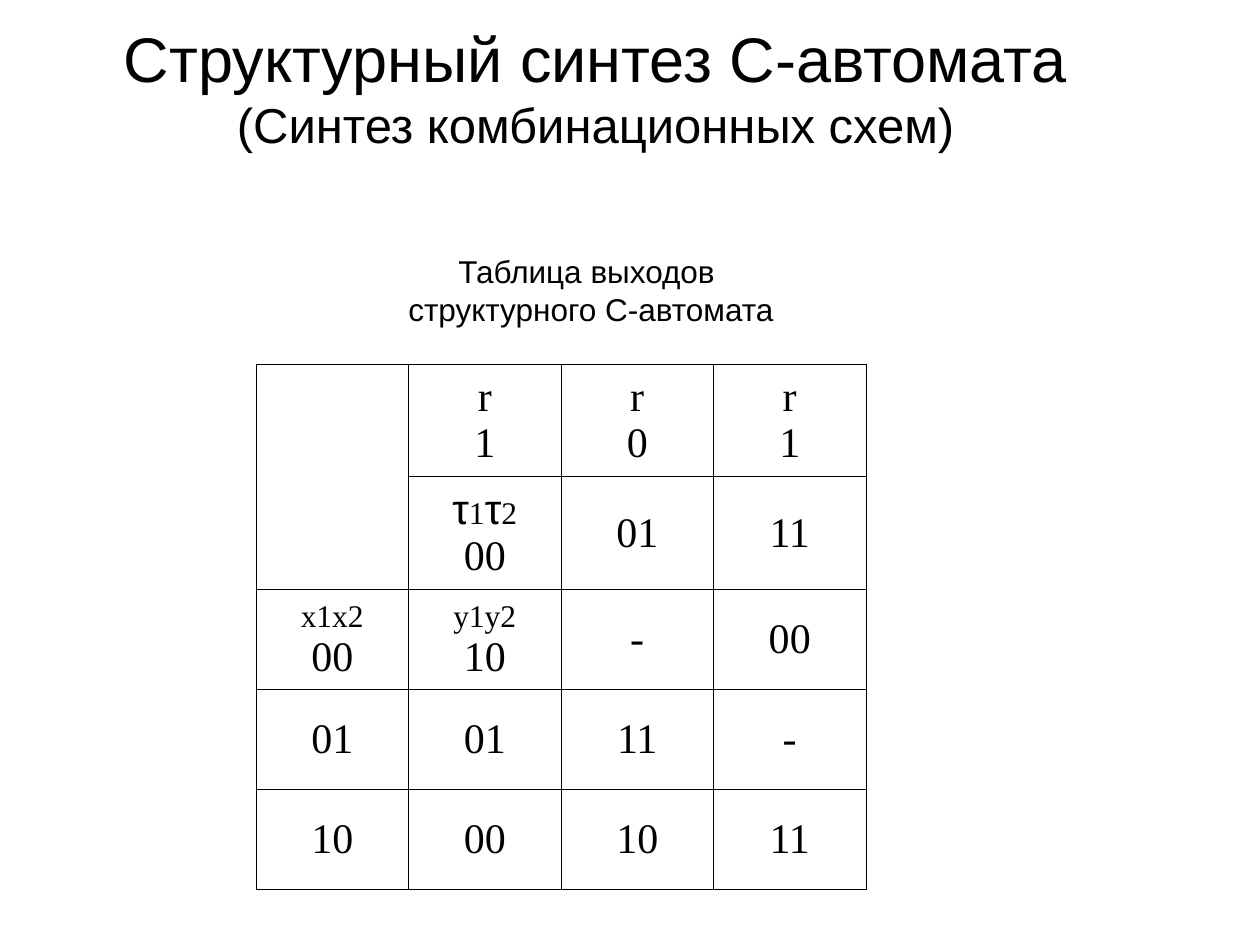
import lxml.etree
import pptx
import pptx.dml.color
import pptx.enum.text
import pptx.oxml.ns
import pptx.util

COLORS = {"ink": "000000"}
SANS = "Arial"
SERIF = "Times New Roman"
PX_PER_INCH = 126
MIDDLE = pptx.enum.text.MSO_ANCHOR.MIDDLE
TOP = pptx.enum.text.MSO_ANCHOR.TOP


def px(length):
    """Turn pixels into EMU."""
    return pptx.util.Emu(round(length * 914400 / PX_PER_INCH))


def write_text(text_frame, paragraphs, font=SANS, size=18):
    """Write centred paragraphs made of strings or (text, overrides) runs."""
    for index, runs in enumerate(paragraphs):
        paragraph = text_frame.paragraphs[0] if index == 0 else text_frame.add_paragraph()
        paragraph.alignment = pptx.enum.text.PP_ALIGN.CENTER
        for entry in [runs] if isinstance(runs, str) else runs:
            text, overrides = (entry, {}) if isinstance(entry, str) else entry
            run = paragraph.add_run()
            run.text = text
            run.font.name = overrides.get("font", font)
            run.font.size = pptx.util.Pt(overrides.get("size", size))
            run.font.color.rgb = pptx.dml.color.RGBColor.from_string(COLORS["ink"])


def add_text_box(slide, box, paragraphs, anchor=TOP, **text_format):
    """Add a wrapping text box."""
    shape = slide.shapes.add_textbox(*map(px, box))
    text_frame = shape.text_frame
    text_frame.word_wrap = True
    text_frame.vertical_anchor = anchor
    write_text(text_frame, paragraphs, **text_format)


def add_title(slide, box):
    """Place the heading and its subtitle."""
    heading = "Структурный синтез С-автомата"
    subtitle = [("(Синтез комбинационных схем)", {"size": 28})]
    add_text_box(slide, box, [heading, subtitle], anchor=MIDDLE, size=36)


def add_caption(slide, box):
    """Place the caption of the output table."""
    add_text_box(slide, box, ["Таблица выходов ", "структурного С-автомата"])


def draw_borders(cell):
    """Outline a cell on its four sides."""
    properties = cell._tc.get_or_add_tcPr()
    for position, side in enumerate(("a:lnL", "a:lnR", "a:lnT", "a:lnB")):
        line = lxml.etree.Element(pptx.oxml.ns.qn(side), w=str(pptx.util.Pt(0.45)))
        fill = lxml.etree.SubElement(line, pptx.oxml.ns.qn("a:solidFill"))
        lxml.etree.SubElement(fill, pptx.oxml.ns.qn("a:srgbClr"), val=COLORS["ink"])
        properties.insert(position, line)


def add_output_table(slide, box):
    """Place the table of outputs of the structural automaton."""
    small = {"size": 18}
    greek = {"font": SANS}
    states = [("τ", greek), ("1", small), ("τ", greek), ("2", small)]
    rows = [
        [[], ["r", "1"], ["r", "0"], ["r", "1"]],
        [[], [states, "00"], ["01"], ["11"]],
        [[[("x1x2", small)], "00"], [[("y1y2", small)], "10"], ["-"], ["00"]],
        [["01"], ["01"], ["11"], ["-"]],
        [["10"], ["00"], ["10"], ["11"]],
    ]
    table = slide.shapes.add_table(len(rows), len(rows[0]), *map(px, box)).table
    table.first_row = False
    table.horz_banding = False
    for column in table.columns:
        column.width = px(box[2] / len(rows[0]))
    for row, height in zip(table.rows, (110, 101, 100, 100, 100)):
        row.height = px(height)
    for row_index, row in enumerate(rows):
        for column_index, paragraphs in enumerate(row):
            cell = table.cell(row_index, column_index)
            cell.vertical_anchor = MIDDLE
            cell.margin_left = cell.margin_right = px(10)
            cell.margin_top = cell.margin_bottom = px(6)
            cell.fill.background()
            draw_borders(cell)
            write_text(cell.text_frame, paragraphs, font=SERIF, size=24)
    table.cell(0, 0).merge(table.cell(1, 0))


def main():
    """Build and save the presentation."""
    presentation = pptx.Presentation()
    presentation.slide_width = px(1260)
    presentation.slide_height = px(945)
    slide = presentation.slides.add_slide(presentation.slide_layouts[6])
    add_title(slide, (0, 29, 1191, 115))
    add_output_table(slide, (256, 364, 610, 511))
    add_caption(slide, (325, 246, 532, 88))
    presentation.save("out.pptx")


if __name__ == "__main__":
    main()
